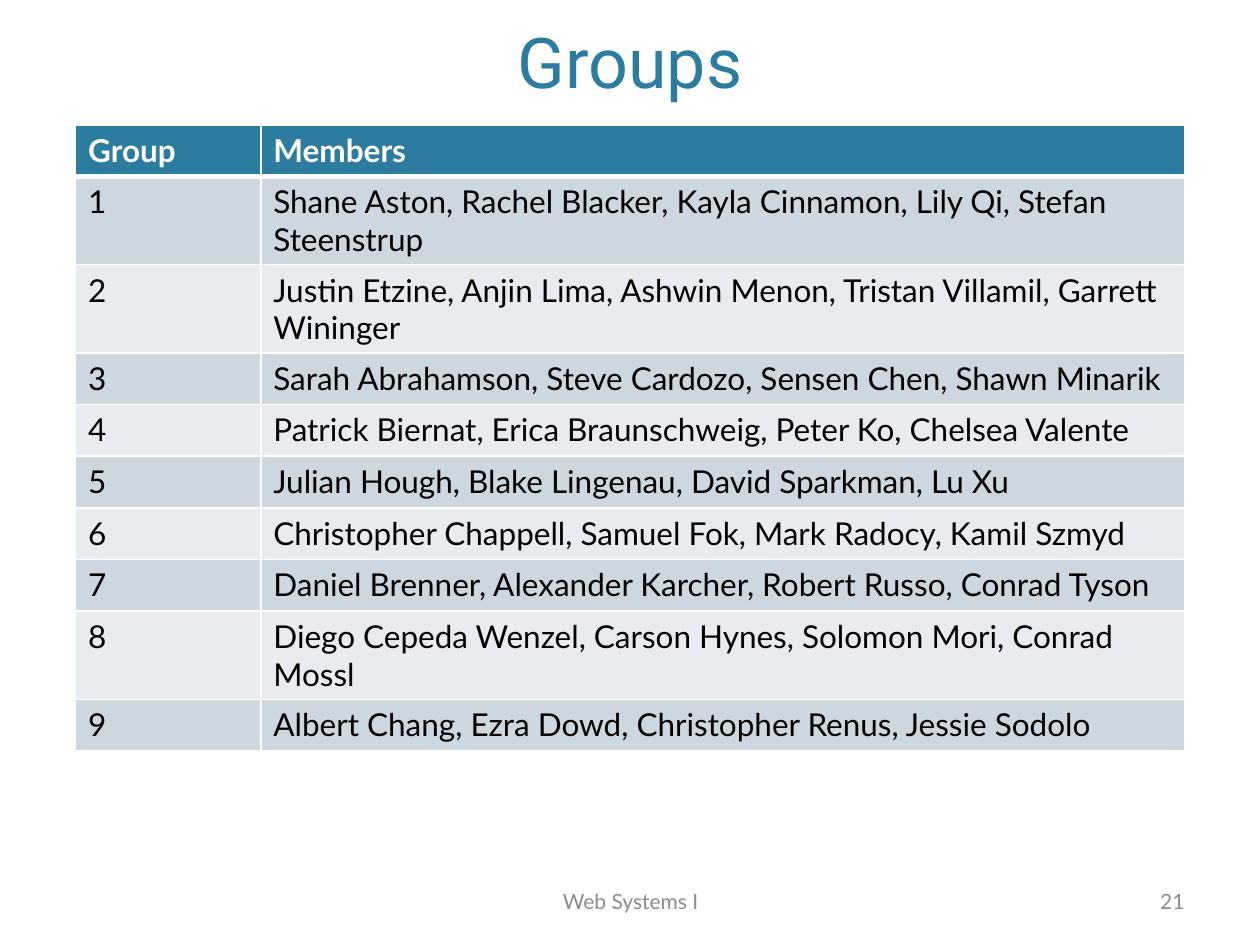
from lxml import etree
from pptx import Presentation
from pptx.dml.color import RGBColor
from pptx.enum.text import MSO_ANCHOR, MSO_AUTO_SIZE, PP_ALIGN
from pptx.oxml.ns import qn
from pptx.util import Inches, Pt

CENTER, LEFT, RIGHT = PP_ALIGN.CENTER, PP_ALIGN.LEFT, PP_ALIGN.RIGHT
BOTTOM, MIDDLE = MSO_ANCHOR.BOTTOM, MSO_ANCHOR.MIDDLE
NO_AUTOFIT = MSO_AUTO_SIZE.NONE

TEAL = RGBColor(0x2C, 0x7C, 0x9F)
WHITE = RGBColor(0xFF, 0xFF, 0xFF)
BLACK = RGBColor(0x00, 0x00, 0x00)
GRAY = RGBColor(0x8C, 0x8C, 0x8C)
BAND_DARK = RGBColor(0xCD, 0xD7, 0xDF)
BAND_LIGHT = RGBColor(0xE8, 0xEC, 0xF0)

GROUPS = [
    "Shane Aston, Rachel Blacker, Kayla Cinnamon, Lily Qi, Stefan Steenstrup",
    "Justin Etzine, Anjin Lima, Ashwin Menon, Tristan Villamil, Garrett Wininger",
    "Sarah Abrahamson, Steve Cardozo, Sensen Chen, Shawn Minarik",
    "Patrick Biernat, Erica Braunschweig, Peter Ko, Chelsea Valente",
    "Julian Hough, Blake Lingenau, David Sparkman, Lu Xu",
    "Christopher Chappell, Samuel Fok, Mark Radocy, Kamil Szmyd",
    "Daniel Brenner, Alexander Karcher, Robert Russo, Conrad Tyson",
    "Diego Cepeda Wenzel, Carson Hynes, Solomon Mori, Conrad Mossl",
    "Albert Chang, Ezra Dowd, Christopher Renus, Jessie Sodolo",
]


def write(frame, text, *, size, color, font="Lato", bold=False, align=LEFT):
    """Put one formatted paragraph into a text frame."""
    para = frame.paragraphs[0]
    para.alignment = align
    span = para.add_run()
    span.text = text
    span.font.name = font
    span.font.size = Pt(size)
    span.font.bold = bold
    span.font.color.rgb = color


def set_border(cell, side, width, color):
    """Draw one side of a table cell."""
    line = etree.SubElement(cell._tc.get_or_add_tcPr(), qn(f"a:ln{side}"), w=str(Pt(width)))
    fill = etree.SubElement(line, qn("a:solidFill"))
    etree.SubElement(fill, qn("a:srgbClr"), val=str(color))


class GroupsPage:
    """Holds the style and the current slide."""

    def __init__(self, deck):
        self.page = deck.slides.add_slide(deck.slide_layouts[5])
        self.left, self.width = Inches(0.6), Inches(8.8)
        self.row_height = Inches(0.41)

    def title(self, text):
        box = self.page.shapes.title
        box.left, box.top = self.left, Inches(0.12)
        box.width, box.height = self.width, Inches(0.74)
        frame = box.text_frame
        frame.auto_size = NO_AUTOFIT
        frame.vertical_anchor = BOTTOM
        write(frame, text, size=40, color=TEAL, font="Roboto", align=CENTER)

    def table(self, header, rows, widths):
        records = [header, *rows]
        table = self.page.shapes.add_table(
            len(records), len(header), self.left, Inches(0.99),
            self.width, self.row_height * len(records)).table
        for column, width in zip(table.columns, widths):
            column.width = Inches(width)
        for row, record in enumerate(records):
            for column, text in enumerate(record):
                self.cell(table.cell(row, column), text, row)

    def cell(self, cell, text, row):
        is_header = row == 0
        borders = {"L": 1, "R": 1, "T": 3 if row == 1 else 1, "B": 3 if is_header else 1}
        for side, width in borders.items():
            set_border(cell, side, width, WHITE)
        cell.fill.solid()
        cell.fill.fore_color.rgb = TEAL if is_header else BAND_DARK if row % 2 else BAND_LIGHT
        write(cell.text_frame, text, size=18, bold=is_header,
              color=WHITE if is_header else BLACK)

    def footer(self, text, left, width, align):
        box = self.page.shapes.add_textbox(
            Inches(left), Inches(6.95), Inches(width), Inches(0.4))
        frame = box.text_frame
        frame.word_wrap = True
        frame.vertical_anchor = MIDDLE
        write(frame, text, size=12, color=GRAY, align=align)


def main():
    """Build the slide and save it."""
    deck = Presentation()
    deck.slide_width, deck.slide_height = Inches(10), Inches(7.5)
    page = GroupsPage(deck)
    page.title("Groups")
    rows = [(str(number), members) for number, members in enumerate(GROUPS, 1)]
    page.table(("Group", "Members"), rows, (1.47, 7.33))
    page.footer("Web Systems I", 3.42, 3.17, CENTER)
    page.footer("21", 7.17, 2.33, RIGHT)
    deck.save("out.pptx")


if __name__ == "__main__":
    main()
